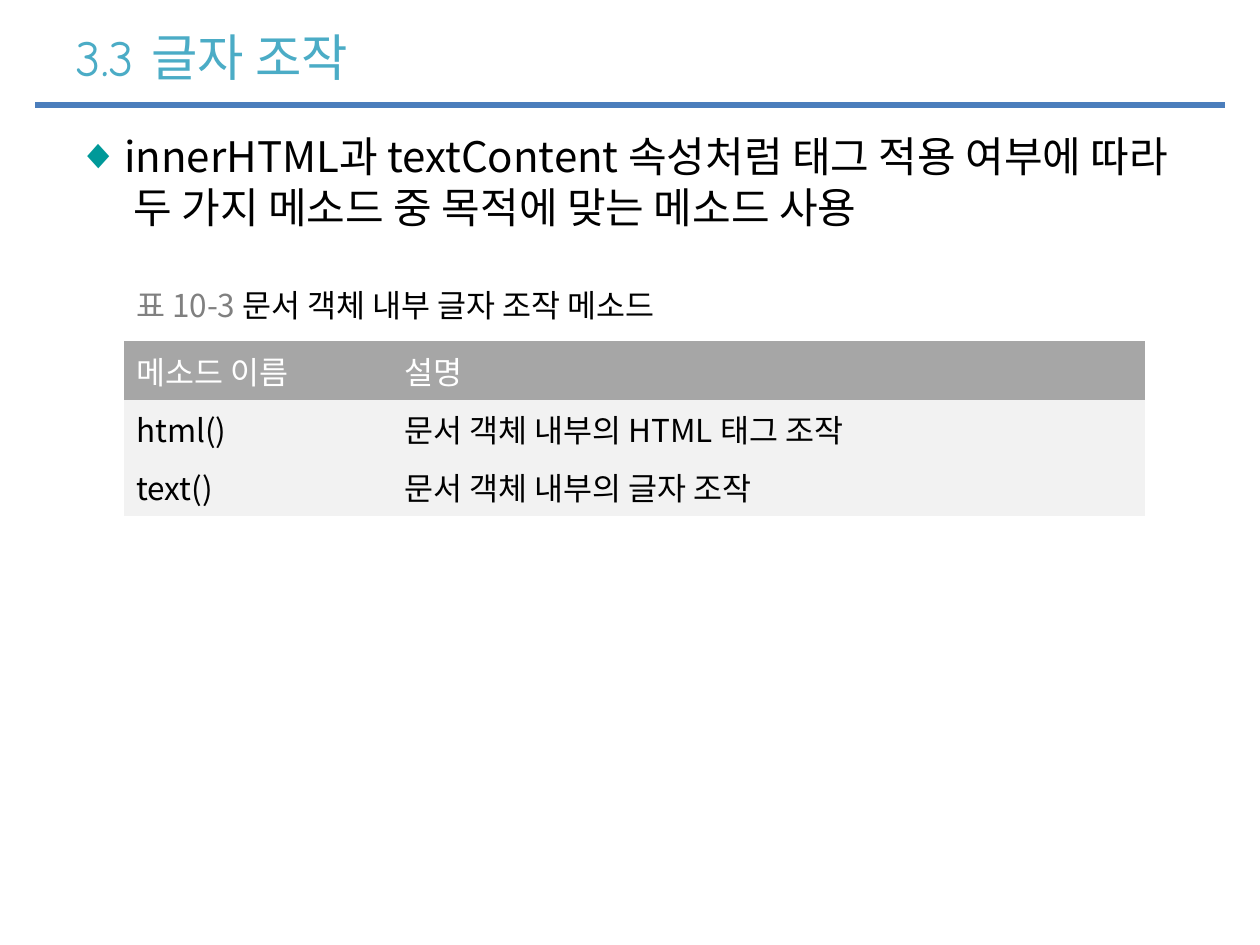
"""Build the slide on text methods: title, bullet, table caption and method table."""
from dataclasses import dataclass

from lxml.etree import SubElement
from pptx import Presentation
from pptx.dml.color import RGBColor as RGB
from pptx.enum.shapes import MSO_CONNECTOR as CONN
from pptx.enum.text import MSO_ANCHOR as ANCHOR, MSO_AUTO_SIZE as FIT, PP_ALIGN as ALIGN
from pptx.oxml.ns import qn
from pptx.util import Cm, Pt

TITLE = "3.3 글자 조작"
BULLET = ["innerHTML과 textContent 속성처럼 태그 적용 여부에 따라", " 두 가지 메소드 중 목적에 맞는 메소드 사용"]
CAPTION = ["표 10-3 ", "문서 객체 내부 글자 조작 메소드"]
METHODS = [
    ("메소드 이름", "설명"),
    ("html()", "문서 객체 내부의 HTML 태그 조작"),
    ("text()", "문서 객체 내부의 글자 조작"),
]


@dataclass(frozen=True)
class Theme:
    """Colours, fonts and type sizes of the slide."""
    title_font: str = "Comic Neue"
    font: str = "Noto Sans CJK KR"
    title_size: float = 28.8
    body_size: float = 24
    table_size: float = 18
    title: str = "4BACC6"
    rule: str = "4B7EBC"
    bullet: str = "009999"
    text: str = "000000"
    muted: str = "808080"
    white: str = "FFFFFF"
    head: str = "A6A6A6"
    row: str = "F2F2F2"


T = Theme()
NO_STYLE = "{2D5ABB26-0587-4C30-8999-92F81FD0307C}"
CAPTION_BORDERS = {"a:lnL": 1, "a:lnR": 1, "a:lnT": 1, "a:lnB": 3}


def add_run(p, text, size, color, font=T.font):
    r = p.add_run()
    r.text = text
    r.font.size = Pt(size)
    r.font.color.rgb = RGB.from_string(color)
    r.font.name = font
    SubElement(r.font._element, qn("a:ea"), typeface=T.font)


def place(sp, left, top, width, height, anchor):
    sp.left, sp.top, sp.width, sp.height = Cm(left), Cm(top), Cm(width), Cm(height)
    tf = sp.text_frame
    tf.word_wrap, tf.auto_size, tf.vertical_anchor = True, FIT.NONE, anchor
    p = tf.paragraphs[0]
    p.alignment = ALIGN.LEFT
    p.space_before = Pt(0)
    return p


def add_bullet(p, char, color, indent):
    pPr = p._p.get_or_add_pPr()
    pPr.set("marL", str(Cm(indent)))
    pPr.set("indent", str(-Cm(indent)))
    SubElement(SubElement(pPr, qn("a:buClr")), qn("a:srgbClr"), val=color)
    SubElement(pPr, qn("a:buChar"), char=char)


def add_plain_table(s, left, top, widths, row_height, rows):
    sp = s.shapes.add_table(rows, len(widths), Cm(left), Cm(top), Cm(sum(widths)), Cm(row_height * rows))
    sp._element.xpath(".//a:tableStyleId")[0].text = NO_STYLE
    table = sp.table
    table.first_row = table.horz_banding = False
    for column, width in zip(table.columns, widths):
        column.width = Cm(width)
    return table


def fill_cell(cell, runs, fill, borders):
    tcPr = cell._tc.get_or_add_tcPr()
    for tag, width in borders.items():
        ln = SubElement(tcPr, qn(tag), w=str(Pt(width)))
        SubElement(SubElement(ln, qn("a:solidFill")), qn("a:srgbClr"), val=T.white)
    cell.fill.solid()
    cell.fill.fore_color.rgb = RGB.from_string(fill)
    for text, color in runs:
        add_run(cell.text_frame.paragraphs[0], text, T.table_size, color)


def main():
    prs = Presentation()
    prs.slide_width, prs.slide_height = Cm(25.4), Cm(19.05)
    s = prs.slides.add_slide(prs.slide_layouts[1])

    rule = s.shapes.add_connector(CONN.STRAIGHT, Cm(0.71), Cm(2.12), Cm(24.69), Cm(2.12))
    rule.line.color.rgb = RGB.from_string(T.rule)
    rule.line.width = Pt(3.5)
    SubElement(rule._element.spPr, qn("a:effectLst"))

    p = place(s.shapes.title, 1.27, 0.33, 22.86, 1.6, ANCHOR.MIDDLE)
    add_run(p, TITLE, T.title_size, T.title, T.title_font)

    p = place(s.placeholders[1], 1.3, 2.51, 23.39, 16, ANCHOR.TOP)
    add_bullet(p, "◆", T.bullet, 0.95)
    for i, line in enumerate(BULLET):
        if i:
            p.add_line_break()
        add_run(p, line, T.body_size, T.text)

    caption = add_plain_table(s, 2.49, 5.54, [16.94], 1.04, 1)
    fill_cell(caption.cell(0, 0), zip(CAPTION, (T.muted, T.text)), T.white, CAPTION_BORDERS)

    methods = add_plain_table(s, 2.49, 6.88, [5.41, 15.19], 0.94, len(METHODS))
    for i, row in enumerate(METHODS):
        color, fill = (T.text, T.row) if i else (T.white, T.head)
        for j, text in enumerate(row):
            fill_cell(methods.cell(i, j), [(text, color)], fill, {})

    prs.save("out.pptx")


if __name__ == "__main__":
    main()
